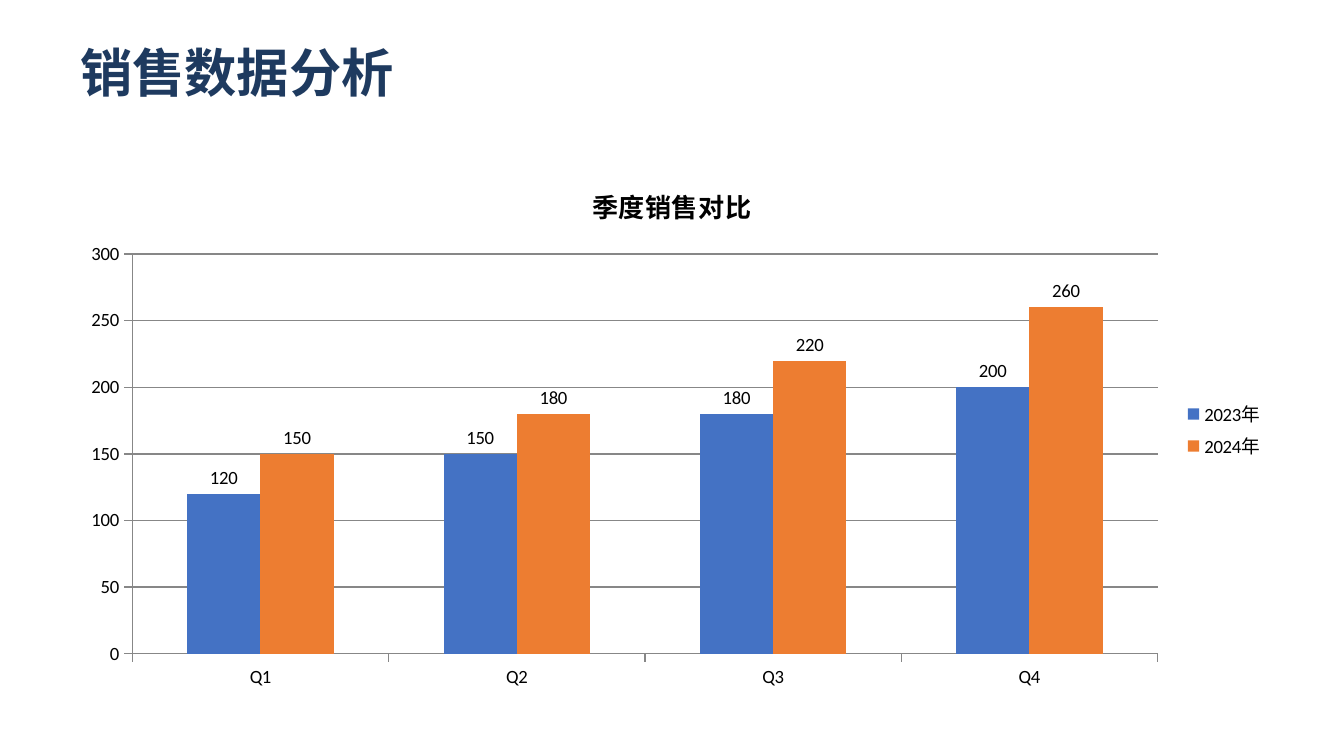
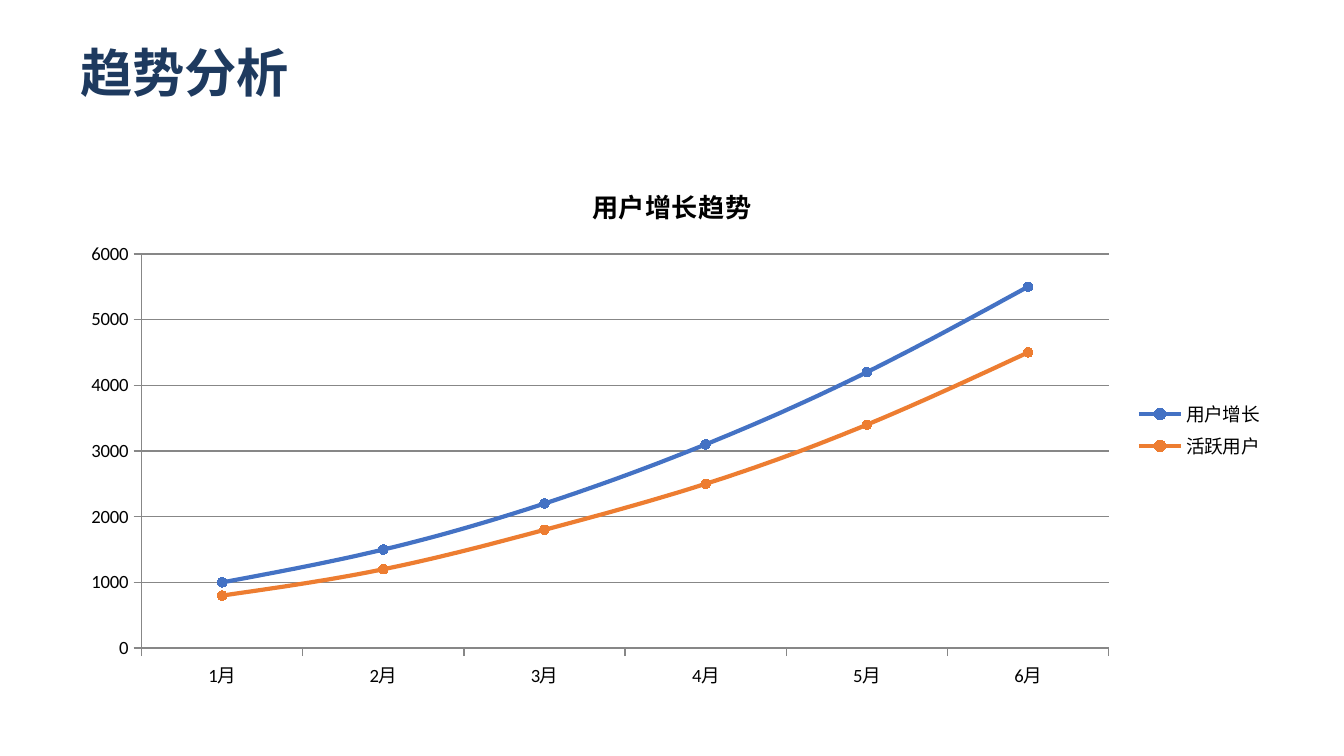
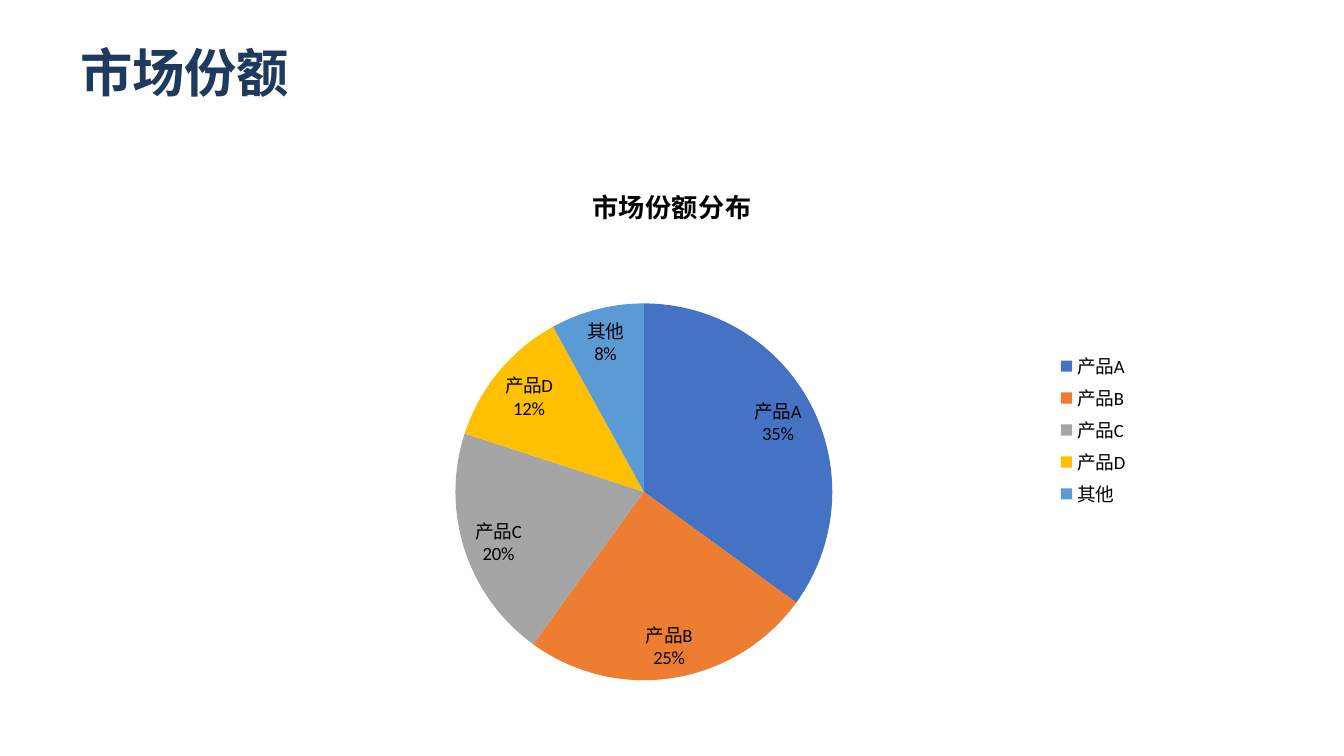
"""Build three slides that show sales, trend and market share charts."""
import pptx
import pptx.chart.data
import pptx.dml.color
import pptx.enum.chart
import pptx.enum.text
import pptx.oxml.ns
import pptx.util
from lxml import etree

RGB = pptx.dml.color.RGBColor
KIND = pptx.enum.chart.XL_CHART_TYPE
SPOT = pptx.enum.chart.XL_LABEL_POSITION
QN = pptx.oxml.ns.qn

NAVY = RGB(0x1E, 0x3A, 0x5F)
BLACK = RGB(0x00, 0x00, 0x00)
WHITE = RGB(0xFF, 0xFF, 0xFF)
BLUE = RGB(0x44, 0x72, 0xC4)
ORANGE = RGB(0xED, 0x7D, 0x31)
GRAY = RGB(0xA5, 0xA5, 0xA5)
GOLD = RGB(0xFF, 0xC0, 0x00)
SKY = RGB(0x5B, 0x9B, 0xD5)
HUES = (BLUE, ORANGE, GRAY, GOLD, SKY)

HEAD = "Noto Sans CJK SC"
BODY = "Calibri"
SCALE = 11430
WIDE, HIGH = 800, 450


def px(*sizes):
    return [size * SCALE for size in sizes]


def paint(form, hue):
    form.fill.solid()
    form.fill.fore_color.rgb = hue


class Deck:
    def __init__(self):
        self.show = pptx.Presentation()
        self.show.slide_width, self.show.slide_height = px(WIDE, HIGH)
        self.slide = None

    def page(self, title):
        self.slide = self.show.slides.add_slide(self.show.slide_layouts[6])
        paint(self.slide.background, WHITE)
        frame = self.slide.shapes.add_textbox(*px(40, 24, 720, 48)).text_frame
        frame.word_wrap = True
        frame.vertical_anchor = pptx.enum.text.MSO_ANCHOR.TOP
        frame.margin_top = frame.margin_bottom = 0
        line = frame.paragraphs[0]
        line.text = title
        font = line.font
        font.name, font.size, font.bold = HEAD, pptx.util.Pt(28), True
        font.color.rgb = NAVY
        etree.SubElement(font._rPr, QN("a:ea"), typeface=HEAD)

    def chart(self, kind, title, cats, rows, wide=720):
        data = pptx.chart.data.CategoryChartData()
        data.categories = cats
        for name, vals in rows.items():
            data.add_series(name, vals)
        box = px((WIDE - wide) // 2, 96, wide, 320)
        chart = self.slide.shapes.add_chart(kind, *box, data).chart
        chart.font.name, chart.font.size = BODY, pptx.util.Pt(10)
        chart.font.color.rgb = BLACK
        chart.has_title = True
        line = chart.chart_title.text_frame.paragraphs[0]
        line.text = title
        line.font.size, line.font.bold = pptx.util.Pt(14), True
        chart.chart_title.include_in_layout = False
        chart.has_legend = True
        chart.legend.position = pptx.enum.chart.XL_LEGEND_POSITION.RIGHT
        chart.legend.include_in_layout = False
        return chart.plots[0]

    def bars(self, *parts):
        plot = self.chart(KIND.COLUMN_CLUSTERED, *parts)
        plot.vary_by_categories = False
        plot.gap_width = 150
        for row, hue in zip(plot.series, HUES):
            paint(row.format, hue)
            row.data_labels.show_value = True
            row.data_labels.position = SPOT.OUTSIDE_END

    def lines(self, *parts):
        plot = self.chart(KIND.LINE_MARKERS, *parts)
        plot.vary_by_categories = False
        for row, hue in zip(plot.series, HUES):
            row.smooth = True
            row.format.line.color.rgb = hue
            row.format.line.width = pptx.util.Pt(2.25)
            row.marker.style = pptx.enum.chart.XL_MARKER_STYLE.CIRCLE
            row.marker.size = 5
            paint(row.marker.format, hue)
            row.marker.format.line.color.rgb = hue

    def pie(self, title, cats, vals):
        plot = self.chart(KIND.PIE, title, cats, {title: vals}, 560)
        plot.vary_by_categories = True
        for spot, hue in enumerate(HUES):
            paint(plot.series[0].points[spot].format, hue)
        tags = plot.series[0].data_labels
        tags.show_value = False
        tags.show_category_name = tags.show_percentage = True
        tags.position = SPOT.BEST_FIT
        gap = etree.Element(QN("c:separator"))
        gap.text = "\n"
        tags._element.find(QN("c:showBubbleSize")).addnext(gap)


def main():
    deck = Deck()
    deck.page("销售数据分析")
    deck.bars("季度销售对比", ["Q1", "Q2", "Q3", "Q4"], {
        "2023年": (120, 150, 180, 200),
        "2024年": (150, 180, 220, 260),
    })
    deck.page("趋势分析")
    deck.lines("用户增长趋势", [f"{month}月" for month in range(1, 7)], {
        "用户增长": (1000, 1500, 2200, 3100, 4200, 5500),
        "活跃用户": (800, 1200, 1800, 2500, 3400, 4500),
    })
    deck.page("市场份额")
    deck.pie("市场份额分布", ["产品A", "产品B", "产品C", "产品D", "其他"],
             (35, 25, 20, 12, 8))
    deck.show.save("out.pptx")


if __name__ == "__main__":
    main()
